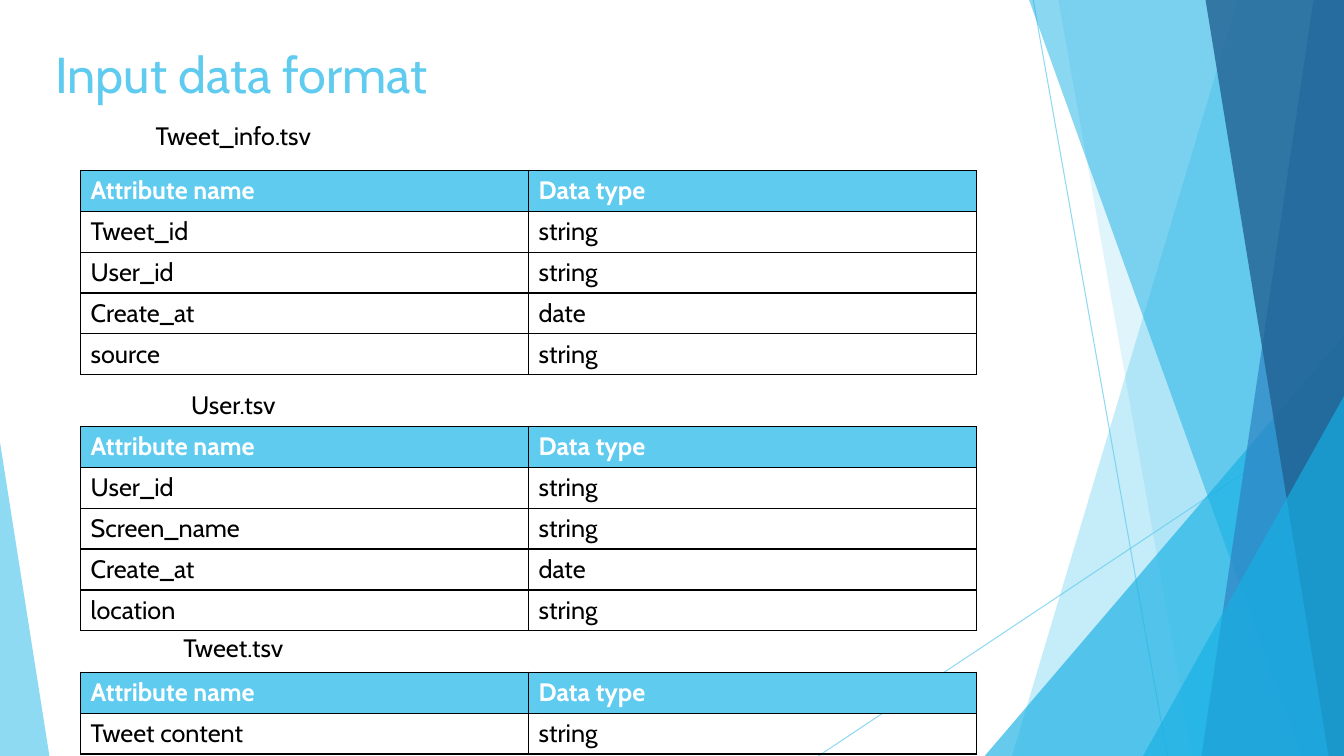
from dataclasses import dataclass

from lxml import etree
from pptx import Presentation, util as u
from pptx.dml import color
from pptx.enum import shapes, text
from pptx.oxml import ns

Pt = u.Pt


@dataclass(frozen=True)
class Theme:
    font: str = "Cabin"
    title_size: int = 36
    body_size: int = 18
    sky: str = "5FCBEF"
    cyan: str = "17B0E4"
    blue: str = "2E83C3"
    navy: str = "226292"
    ink: str = "000000"
    paper: str = "FFFFFF"


def rgb(value):
    return color.RGBColor.from_string(value)


def set_alpha(element, percent):
    for tone in element.iter(ns.qn("a:srgbClr")):
        etree.SubElement(tone, ns.qn("a:alpha"), val=str(percent * 1000))


def write(frame, words, *, font, size, tone, bold=False,
          align=text.PP_ALIGN.LEFT, anchor=text.MSO_ANCHOR.TOP):
    frame.word_wrap = True
    frame.vertical_anchor = anchor
    paragraph = frame.paragraphs[0]
    paragraph.alignment = align
    run = paragraph.add_run()
    run.text = words
    run.font.name = font
    run.font.size = Pt(size)
    run.font.bold = bold
    run.font.color.rgb = rgb(tone)


class Deck:
    def __init__(self, slide, theme):
        self.slide = slide
        self.theme = theme

    def paint(self, facet, tone, opacity):
        facet.shadow.inherit = False
        facet.fill.solid()
        facet.fill.fore_color.rgb = rgb(tone)
        facet.line.fill.background()
        set_alpha(facet.fill._xPr, opacity)

    def ray(self, start, end):
        ray = self.slide.shapes.add_connector(
            shapes.MSO_CONNECTOR.STRAIGHT, *map(Pt, start + end))
        ray.line.color.rgb = rgb(self.theme.sky)
        ray.line.width = Pt(0.75)
        properties = ray._element.spPr
        set_alpha(properties, 70)
        etree.SubElement(properties, ns.qn("a:effectLst"))

    def shard(self, top_x, bottom_x, tone, opacity):
        outline = self.slide.shapes.build_freeform(Pt(top_x), 0)
        corners = [(WIDTH, 0), (WIDTH, HEIGHT), (bottom_x, HEIGHT)]
        outline.add_line_segments([(Pt(x), Pt(y)) for x, y in corners])
        self.paint(outline.convert_to_shape(), tone, opacity)

    def wedge(self, left, top, width, apex, tone, opacity):
        wedge = self.slide.shapes.add_shape(
            shapes.MSO_SHAPE.ISOSCELES_TRIANGLE,
            *map(Pt, (left, top, width, HEIGHT - top)))
        wedge.adjustments[0] = apex
        self.paint(wedge, tone, opacity)

    def label(self, words, left, top, width, height, inset=3.6, **style):
        frame = self.slide.shapes.add_textbox(
            *map(Pt, (left, top, width, height))).text_frame
        frame.margin_top = frame.margin_bottom = Pt(inset)
        write(frame, words, font=self.theme.font, **style)

    def border(self, cell):
        properties = cell._tc.get_or_add_tcPr()
        for side in ("lnL", "lnR", "lnT", "lnB"):
            edge = etree.SubElement(properties, ns.qn(f"a:{side}"), w=str(Pt(1)))
            fill = etree.SubElement(edge, ns.qn("a:solidFill"))
            etree.SubElement(fill, ns.qn("a:srgbClr"), val=self.theme.ink)

    def schema(self, top, attributes):
        rows = [("Attribute name", "Data type"), *attributes]
        grid = self.slide.shapes.add_table(
            len(rows), 2, Pt(LEFT), Pt(top), Pt(TABLE_WIDTH),
            Pt(ROW_HEIGHT * len(rows))).table
        grid.horz_banding = False
        for column in grid.columns:
            column.width = Pt(TABLE_WIDTH / 2)
        for r, values in enumerate(rows):
            grid.rows[r].height = Pt(ROW_HEIGHT)
            header = r == 0
            for c, value in enumerate(values):
                cell = grid.cell(r, c)
                self.border(cell)
                if header:
                    cell.fill.solid()
                    cell.fill.fore_color.rgb = rgb(self.theme.sky)
                else:
                    cell.fill.background()
                write(cell.text_frame, value, font=self.theme.font,
                      size=self.theme.body_size, bold=header,
                      tone=self.theme.paper if header else self.theme.ink)


WIDTH, HEIGHT = 960, 540
LEFT, TABLE_WIDTH, ROW_HEIGHT = 57.6, 640, 29.2

presentation = Presentation()
presentation.slide_width = Pt(WIDTH)
presentation.slide_height = Pt(HEIGHT)
theme = Theme()
deck = Deck(presentation.slides.add_slide(presentation.slide_layouts[6]), theme)

deck.ray((738, 0), (833.8, HEIGHT))
deck.ray((WIDTH, 290.2), (584.6, HEIGHT))
deck.shard(884.2, 722.9, theme.sky, 36)
deck.shard(756, 851.8, theme.sky, 20)
deck.wedge(703.4, 239.8, 256.6, 1, theme.cyan, 66)
deck.shard(735.1, 929.5, theme.cyan, 50)
deck.shard(938.2, 858.2, theme.blue, 70)
deck.shard(861.1, 949, theme.navy, 80)
deck.wedge(816.5, 283, 143.5, 1, theme.cyan, 66)
deck.wedge(0, 316, 35.3, 0, theme.sky, 70)

deck.label("Input data format", 32.4, 23.8, 927, 60.5, inset=7.2,
           size=theme.title_size, tone=theme.sky)

files = [
    ("Tweet_info.tsv", 79.2, 121.7,
     [("Tweet_id", "string"), ("User_id", "string"),
      ("Create_at", "date"), ("source", "string")]),
    ("User.tsv", 271.4, 304.6,
     [("User_id", "string"), ("Screen_name", "string"),
      ("Create_at", "date"), ("location", "string")]),
    ("Tweet.tsv", 445, 480.2, [("Tweet content", "string")]),
]
for file_name, name_top, schema_top, attributes in files:
    deck.label(file_name, LEFT, name_top, 218.2, 34.6,
               size=theme.body_size, tone=theme.ink,
               align=text.PP_ALIGN.CENTER, anchor=text.MSO_ANCHOR.MIDDLE)
    deck.schema(schema_top, attributes)

presentation.save("out.pptx")
